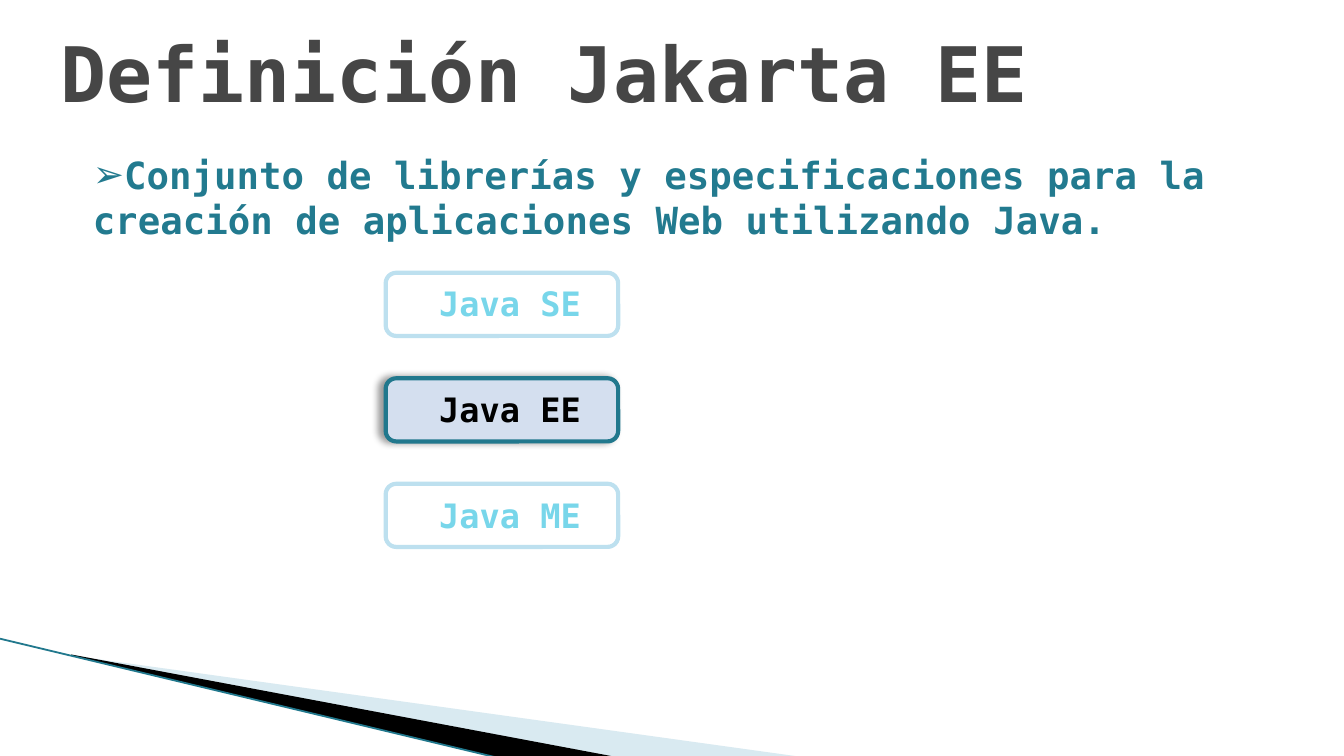
from lxml.etree import SubElement
from pptx import Presentation
from pptx.dml.color import RGBColor
from pptx.enum.shapes import MSO_CONNECTOR, MSO_SHAPE
from pptx.enum.text import MSO_ANCHOR, PP_ALIGN
from pptx.oxml.ns import qn
from pptx.util import Inches, Pt

FONT = "DejaVu Sans Mono"
PAGE_WIDTH = 10
PAGE_HEIGHT = PAGE_WIDTH * 9 / 16
COLORS = {
    "title": "464646",
    "teal": "227A8F",
    "border": "21788D",
    "pale_border": "BDE0EF",
    "pale_text": "78D6EA",
    "highlight": "D4DFEF",
    "wedge": "A0CBDC",
    "black": "000000",
}


def color(name):
    return RGBColor.from_string(COLORS[name])


def add_element(parent, tag, **attributes):
    return SubElement(parent, qn(tag), {key: str(value) for key, value in attributes.items()})


def place(shape, left, top, width, height):
    shape.left, shape.top = Inches(left), Inches(top)
    shape.width, shape.height = Inches(width), Inches(height)


def write(shape, text, size, color_name):
    frame = shape.text_frame
    frame.word_wrap = True
    frame.vertical_anchor = MSO_ANCHOR.TOP
    para = frame.paragraphs[0]
    para.alignment = PP_ALIGN.LEFT
    span = para.add_run()
    span.text = text
    span.font.name = FONT
    span.font.size = Pt(size)
    span.font.bold = True
    span.font.color.rgb = color(color_name)
    return para


def add_wedge(page, points, color_name, alpha=None):
    start, *others = [(Inches(x), Inches(y)) for x, y in points]
    builder = page.shapes.build_freeform(*start)
    builder.add_line_segments(others, close=True)
    wedge = builder.convert_to_shape()
    wedge.shadow.inherit = False
    wedge.fill.solid()
    wedge.fill.fore_color.rgb = color(color_name)
    wedge.line.fill.background()
    if alpha is not None:
        tint = wedge._element.spPr.find(".//" + qn("a:srgbClr"))
        add_element(tint, "a:alpha", val=alpha * 1000)


def add_corner_decoration(page, left, top):
    def shift(*points):
        return [(left + x, top + y) for x, y in points]

    add_wedge(page, shift((0.56, 0.13), (5.96, 0.88), (4.57, 0.88)), "wedge", alpha=40)
    add_wedge(page, shift((0.54, 0.12), (4.58, 0.88), (3.73, 0.89), (0.55, 0.13)), "black")
    (x1, y1), (x2, y2) = shift((0, 0), (3.72, 0.89))
    edge = page.shapes.add_connector(
        MSO_CONNECTOR.STRAIGHT, Inches(x1), Inches(y1), Inches(x2), Inches(y2))
    edge.line.color.rgb = color("border")
    edge.line.width = Pt(0.95)
    add_element(edge._element.spPr, "a:effectLst")


def add_heading(page, left, top, width, height):
    title = page.shapes.title
    place(title, left, top, width, height)
    write(title, "Definición Jakarta EE", 41, "title")


def add_definition(page, left, top, width, height):
    body = page.placeholders[1]
    place(body, left, top, width, height)
    para = write(
        body,
        "Conjunto de librerías y especificaciones para la creación de "
        "aplicaciones Web utilizando Java.",
        20, "teal")
    para.space_before, para.space_after = Pt(6), Pt(12)
    properties = para._p.get_or_add_pPr()
    properties.set("marL", "0")
    properties.set("indent", "0")
    add_element(properties, "a:buChar", char="➢")


def add_edition(page, label, left, top, width, height, active):
    frame = page.shapes.add_shape(
        MSO_SHAPE.ROUNDED_RECTANGLE, Inches(left), Inches(top), Inches(width), Inches(height))
    frame.shadow.inherit = False
    frame.line.color.rgb = color("border" if active else "pale_border")
    frame.line.width = Pt(2.25)
    if active:
        frame.fill.solid()
        frame.fill.fore_color.rgb = color("highlight")
        effects = frame._element.spPr.find(qn("a:effectLst"))
        shadow = add_element(effects, "a:outerShdw", blurRad=Pt(4), dist=Pt(3),
                             dir=180 * 60000, algn="r", rotWithShape=0)
        tint = add_element(shadow, "a:srgbClr", val=COLORS["black"])
        add_element(tint, "a:alpha", val=40000)
    else:
        frame.fill.background()
    caption = page.shapes.add_textbox(
        Inches(left + 0.3), Inches(top + 0.03), Inches(1.26), Inches(0.4))
    write(caption, label, 18, "black" if active else "pale_text")


def add_editions(page, left, top, width, height, active="Java EE"):
    """Stack the edition boxes evenly, highlighting the active one."""
    labels = ["Java SE", "Java EE", "Java ME"]
    box_height = 0.47
    pitch = (height - box_height) / (len(labels) - 1)
    for index, label in enumerate(labels):
        add_edition(page, label, left, top + index * pitch, width, box_height,
                    label == active)


def main():
    deck = Presentation()
    deck.slide_width, deck.slide_height = Inches(PAGE_WIDTH), Inches(PAGE_HEIGHT)
    page = deck.slides.add_slide(deck.slide_layouts[1])
    add_corner_decoration(page, -0.01, 4.75)
    add_heading(page, 0.35, 0.14, 8.9, 0.89)
    add_definition(page, 0.59, 1.08, 8.74, 2.05)
    add_editions(page, 2.87, 2.03, 1.73, 2.04)
    deck.save("out.pptx")


if __name__ == "__main__":
    main()
